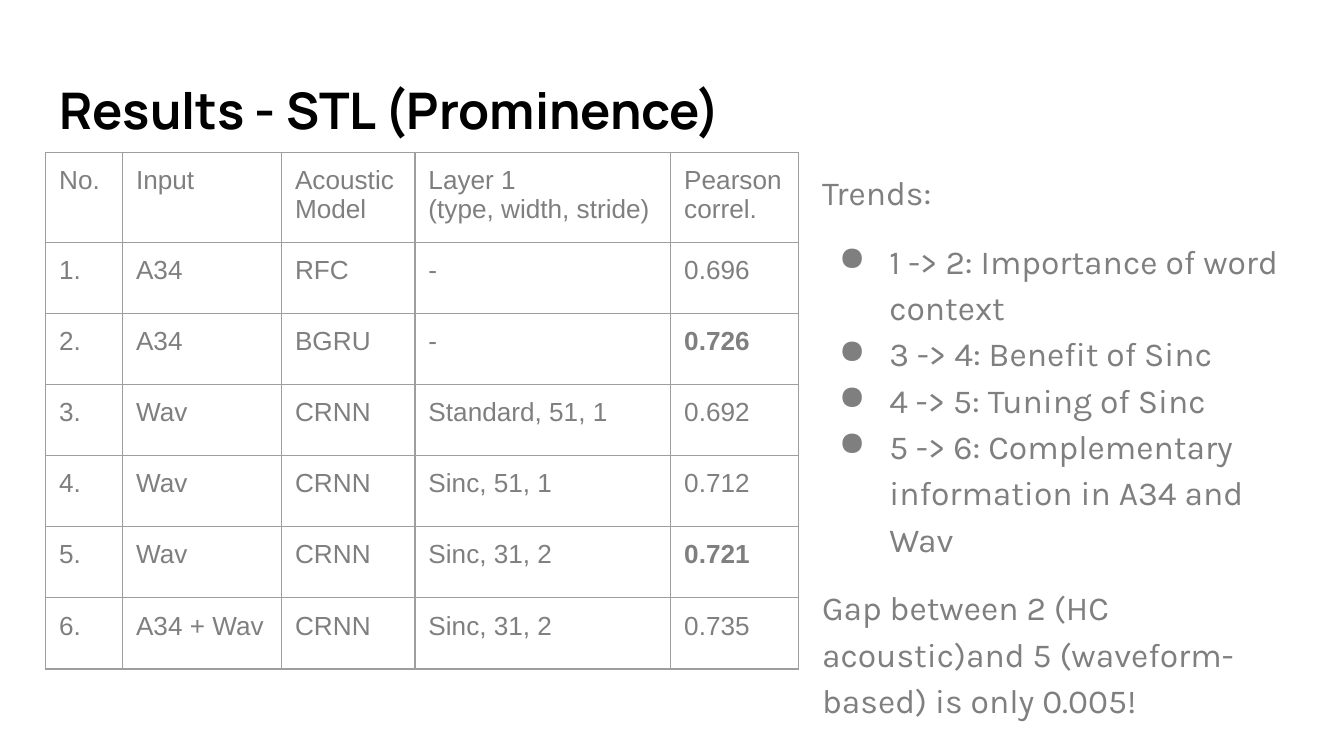
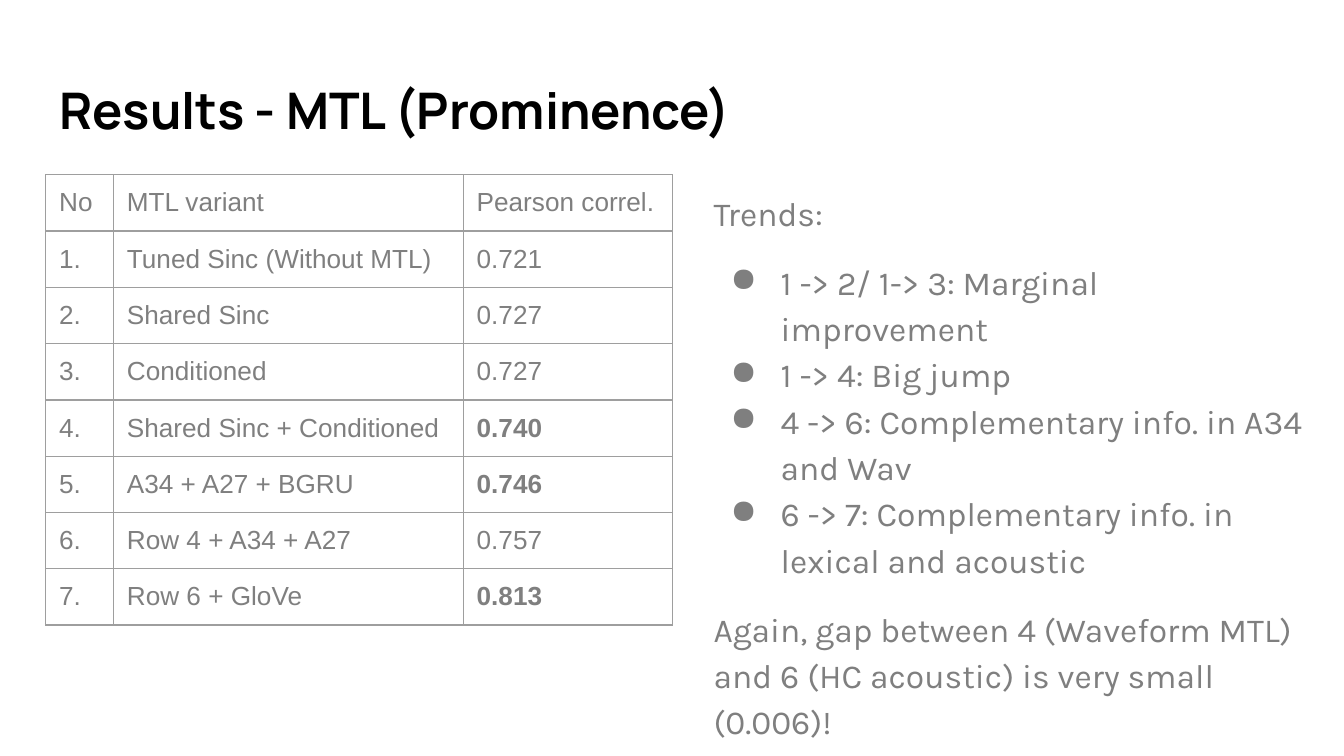
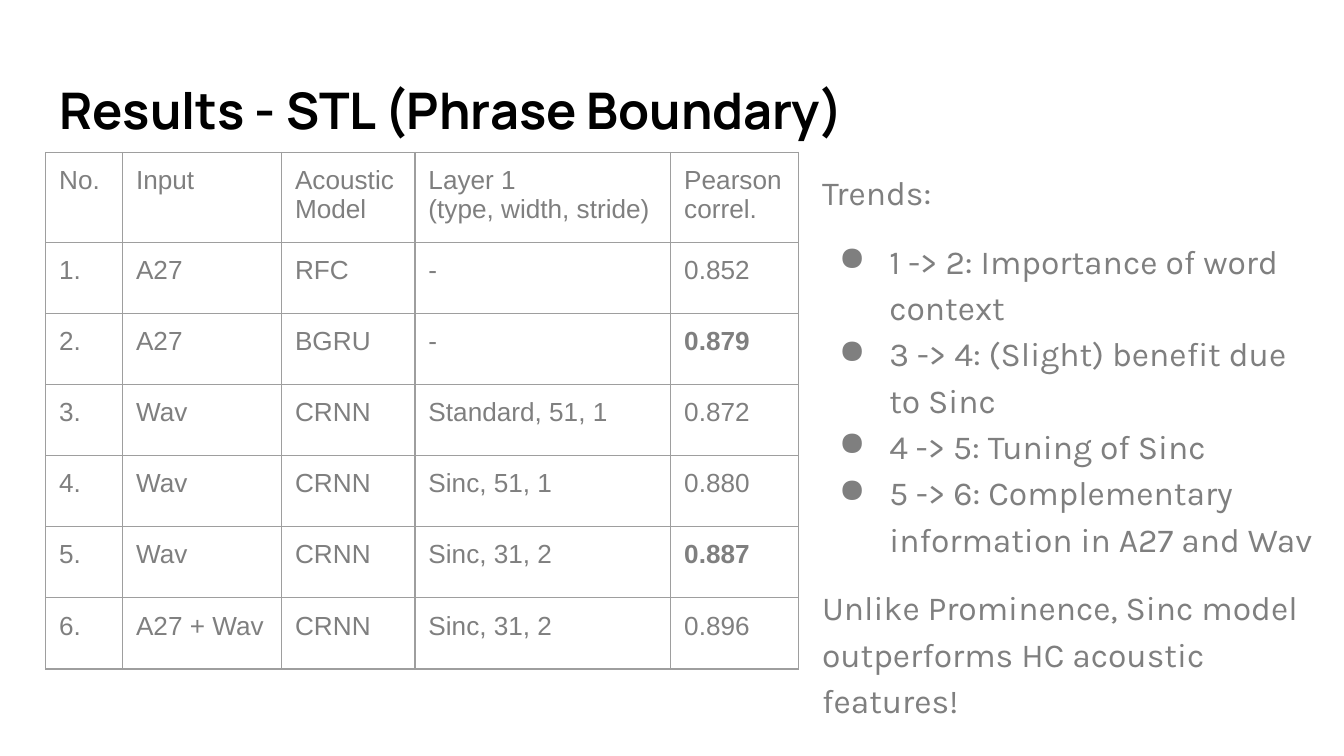
from lxml.etree import SubElement
from pptx import Presentation
from pptx.dml.color import RGBColor
from pptx.enum.text import MSO_ANCHOR, MSO_AUTO_SIZE, PP_ALIGN
from pptx.oxml.ns import qn
from pptx.util import Pt

COLORS = {"title": "000000", "text": "7F7F7F", "border": "9E9E9E"}
TITLE_FONT, BODY_FONT, TABLE_FONT = "Manrope", "Karla", "Arial"
TITLE_ONLY = 5
LEFT = 24.5
INSET = 7.2
BORDER_EMU = Pt(0.75)

STL_COLUMNS = [41.2, 85.2, 71.5, 137, 68.4]
STL_ROWS = [48.2] + [38.1] * 6
STL_HEADER = ["No.", "Input", "Acoustic Model", "Layer 1\v(type, width, stride)", "Pearson correl."]
STL_MODELS = ["RFC", "BGRU"] + ["CRNN"] * 4
STL_LAYERS = ["-", "-", "Standard, 51, 1", "Sinc, 51, 1", "Sinc, 31, 2", "Sinc, 31, 2"]
STL_BOLD = {2, 5}

MTL_COLUMNS = [36.3, 187.4, 112]
MTL_ROWS = [30.1] * 8
MTL_HEADER = ["No", "MTL variant", "Pearson correl."]
MTL_RESULTS = [
    ("Tuned Sinc (Without MTL)", "0.721"),
    ("Shared Sinc", "0.727"),
    ("Conditioned", "0.727"),
    ("Shared Sinc + Conditioned", "0.740"),
    ("A34 + A27 + BGRU", "0.746"),
    ("Row 4 + A34 + A27", "0.757"),
    ("Row 6 + GloVe", "0.813"),
]
MTL_BOLD = {4, 5, 7}


def set_font(paragraph, name, size, color, bold=False):
    font = paragraph.font
    font.name, font.size, font.bold = name, Pt(size), bold
    font.color.rgb = RGBColor.from_string(COLORS[color])


def set_insets(target):
    target.margin_left = target.margin_right = Pt(INSET)
    target.margin_top = target.margin_bottom = Pt(INSET)


def add_titled_slide(presentation, text):
    slide = presentation.slides.add_slide(presentation.slide_layouts[TITLE_ONLY])
    title = slide.shapes.title
    title.left, title.top, title.width, title.height = Pt(LEFT), Pt(35), Pt(671), Pt(49)
    frame = title.text_frame
    frame.text = text
    frame.word_wrap = True
    frame.auto_size = MSO_AUTO_SIZE.NONE
    frame.vertical_anchor = MSO_ANCHOR.TOP
    set_insets(frame)
    paragraph = frame.paragraphs[0]
    paragraph.alignment = PP_ALIGN.LEFT
    set_font(paragraph, TITLE_FONT, 27, "title", bold=True)
    return slide


def add_borders(cell):
    properties = cell._tc.get_or_add_tcPr()
    for side in ("a:lnL", "a:lnR", "a:lnT", "a:lnB"):
        line = SubElement(properties, qn(side), w=str(BORDER_EMU))
        fill = SubElement(line, qn("a:solidFill"))
        SubElement(fill, qn("a:srgbClr"), val=COLORS["border"])


def add_results_table(slide, top, widths, heights, rows, bold_rows):
    frame = slide.shapes.add_table(
        len(rows), len(widths), Pt(LEFT), Pt(top), Pt(sum(widths)), Pt(sum(heights)))
    table = frame.table
    table.first_row = table.horz_banding = False
    for column, width in zip(table.columns, widths):
        column.width = Pt(width)
    for row, height in zip(table.rows, heights):
        row.height = Pt(height)
    for row_index, values in enumerate(rows):
        for column_index, value in enumerate(values):
            cell = table.cell(row_index, column_index)
            cell.text = value
            set_insets(cell)
            add_borders(cell)
            cell.fill.background()
            is_score = column_index == len(values) - 1
            set_font(cell.text_frame.paragraphs[0], TABLE_FONT, 14, "text",
                     bold=is_score and row_index in bold_rows)


def add_bullet(paragraph):
    properties = paragraph._p.get_or_add_pPr()
    properties.set("marL", str(Pt(36)))
    properties.set("indent", str(Pt(-27)))
    color = SubElement(properties, qn("a:buClr"))
    SubElement(color, qn("a:srgbClr"), val=COLORS["text"])
    SubElement(properties, qn("a:buChar"), char="●")


def add_trends(slide, left, top, width, height, trends, conclusion):
    frame = slide.shapes.add_textbox(Pt(left), Pt(top), Pt(width), Pt(height)).text_frame
    frame.word_wrap = True
    set_insets(frame)
    lines = ["Trends:", *trends, conclusion]
    last = len(lines) - 1
    for index, line in enumerate(lines):
        paragraph = frame.paragraphs[0] if index == 0 else frame.add_paragraph()
        paragraph.text = line
        paragraph.line_spacing = 1.15
        paragraph.space_before = Pt(12 if index in (1, last) else 0)
        paragraph.space_after = Pt(12 if index == last else 0)
        if 0 < index < last:
            add_bullet(paragraph)
        set_font(paragraph, BODY_FONT, 18, "text")


def add_stl_slide(presentation, task, feature, scores, trends, conclusion):
    slide = add_titled_slide(presentation, f"Results - STL ({task})")
    inputs = [feature] * 2 + ["Wav"] * 3 + [f"{feature} + Wav"]
    results = zip(inputs, STL_MODELS, STL_LAYERS, scores)
    rows = [STL_HEADER] + [[f"{number}.", *result] for number, result in enumerate(results, 1)]
    add_results_table(slide, 81.6, STL_COLUMNS, STL_ROWS, rows, STL_BOLD)
    add_trends(slide, 433.3, 81.6, 277.2, 314.6, trends, conclusion)


def add_mtl_slide(presentation):
    slide = add_titled_slide(presentation, "Results - MTL (Prominence)")
    rows = [MTL_HEADER] + [[f"{number}.", *result] for number, result in enumerate(MTL_RESULTS, 1)]
    add_results_table(slide, 93.6, MTL_COLUMNS, MTL_ROWS, rows, MTL_BOLD)
    trends = [
        "1 -> 2/ 1-> 3: Marginal improvement",
        "1 -> 4: Big jump",
        "4 -> 6: Complementary info. in A34 and Wav",
        "6 -> 7: Complementary info. in lexical and acoustic",
    ]
    add_trends(slide, 375.2, 92.9, 335.5, 303.8, trends,
               "Again, gap between 4 (Waveform MTL) and 6 (HC acoustic) is very small (0.006)!")


def main():
    presentation = Presentation()
    presentation.slide_width, presentation.slide_height = Pt(720), Pt(405)

    # Single-task results for prominence
    add_stl_slide(
        presentation, "Prominence", "A34",
        ["0.696", "0.726", "0.692", "0.712", "0.721", "0.735"],
        ["1 -> 2: Importance of word context",
         "3 -> 4: Benefit of Sinc",
         "4 -> 5: Tuning of Sinc",
         "5 -> 6: Complementary information in A34 and Wav"],
        "Gap between 2 (HC acoustic)and 5 (waveform-based) is only 0.005!")

    # Multi-task results for prominence
    add_mtl_slide(presentation)

    # Single-task results for phrase boundary
    add_stl_slide(
        presentation, "Phrase Boundary", "A27",
        ["0.852", "0.879", "0.872", "0.880", "0.887", "0.896"],
        ["1 -> 2: Importance of word context",
         "3 -> 4: (Slight) benefit due to Sinc",
         "4 -> 5: Tuning of Sinc",
         "5 -> 6: Complementary information in A27 and Wav"],
        "Unlike Prominence, Sinc model outperforms HC acoustic features!")

    presentation.save("out.pptx")


if __name__ == "__main__":
    main()
